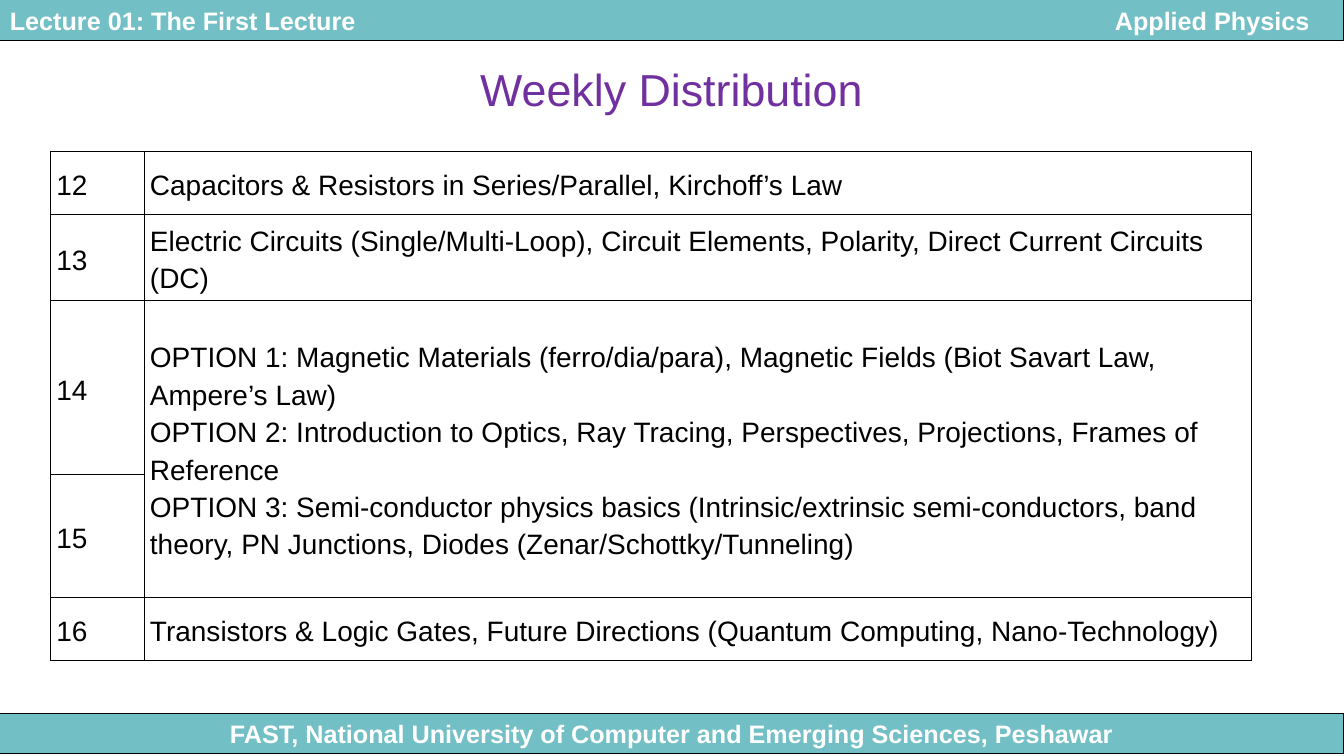
from dataclasses import dataclass

from lxml.etree import SubElement
from pptx import Presentation
from pptx.dml.color import RGBColor
from pptx.enum.shapes import MSO_SHAPE
from pptx.enum.text import MSO_ANCHOR, PP_ALIGN
from pptx.oxml import parse_xml
from pptx.oxml.ns import nsdecls, qn
from pptx.slide import Slide
from pptx.table import _Cell
from pptx.text.text import _Paragraph
from pptx.util import Cm, Pt

TEAL = RGBColor(0x72, 0xBF, 0xC5)
PURPLE = RGBColor(0x70, 0x30, 0xA0)
BLACK = RGBColor(0, 0, 0)
WHITE = RGBColor(0xFF, 0xFF, 0xFF)
FONT = "Arial"
SLIDE_WIDTH, SLIDE_HEIGHT = Cm(33.88), Cm(19.05)
BAR_WIDTH, BAR_HEIGHT = Cm(33.86), Cm(1.02)
HEADER_TAB = Cm(32.76)
BORDER = Pt(0.45)


@dataclass
class Bar:
    text: str
    top: float
    align: PP_ALIGN


@dataclass
class Week:
    number: str
    topics: str
    height: float
    joins_above: bool = False


BARS = [
    Bar("FAST, National University of Computer and Emerging Sciences, Peshawar",
        17.98, PP_ALIGN.CENTER),
    Bar("Lecture 01: The First Lecture\tApplied Physics", 0, PP_ALIGN.LEFT),
]

WEEKS = [
    Week("12", "Capacitors & Resistors in Series/Parallel, Kirchoff’s Law", 1.6),
    Week("13", "Electric Circuits (Single/Multi-Loop), Circuit Elements, Polarity, "
               "Direct Current Circuits (DC)", 2.15),
    Week("14", "OPTION 1: Magnetic Materials (ferro/dia/para), Magnetic Fields "
               "(Biot Savart Law, Ampere’s Law)\n"
               "OPTION 2: Introduction to Optics, Ray Tracing, Perspectives, "
               "Projections, Frames of Reference\n"
               "OPTION 3: Semi-conductor physics basics (Intrinsic/extrinsic "
               "semi-conductors, band theory, PN Junctions, Diodes "
               "(Zenar/Schottky/Tunneling)", 4.4),
    Week("15", "", 3.08, joins_above=True),
    Week("16", "Transistors & Logic Gates, Future Directions (Quantum Computing, "
               "Nano-Technology)", 1.6),
]


def write(p: _Paragraph, text: str, size: float, color: RGBColor,
          bold: bool = False) -> None:
    p.text = text
    for r in p.runs:
        r.font.name = FONT
        r.font.size = Pt(size)
        r.font.bold = bold
        r.font.color.rgb = color


def add_right_tab(p: _Paragraph, position: int) -> None:
    tabs = SubElement(p._p.get_or_add_pPr(), qn("a:tabLst"))
    SubElement(tabs, qn("a:tab"), pos=str(position), algn="r")


def add_bar(slide: Slide, bar: Bar) -> None:
    sp = slide.shapes.add_shape(MSO_SHAPE.RECTANGLE, 0, Cm(bar.top),
                                BAR_WIDTH, BAR_HEIGHT)
    sp.shadow.inherit = False
    sp.fill.solid()
    sp.fill.fore_color.rgb = TEAL
    sp.line.color.rgb = BLACK
    sp.line.width = Pt(0.75)
    tf = sp.text_frame
    tf.word_wrap = True
    tf.vertical_anchor = MSO_ANCHOR.MIDDLE
    p = tf.paragraphs[0]
    write(p, bar.text, 18, WHITE, bold=True)
    p.alignment = bar.align
    if "\t" in bar.text:
        add_right_tab(p, HEADER_TAB)


def add_title(slide: Slide, text: str) -> None:
    title = slide.shapes.title
    title.left, title.top = 0, Cm(1.07)
    title.width, title.height = BAR_WIDTH, Cm(2.34)
    tf = title.text_frame
    tf.vertical_anchor = MSO_ANCHOR.MIDDLE
    p = tf.paragraphs[0]
    write(p, text, 32, PURPLE)
    p.alignment = PP_ALIGN.CENTER


def add_borders(cell: _Cell) -> None:
    """Outline all four sides; the schema puts border lines before the fill."""
    tcPr = cell._tc.get_or_add_tcPr()
    for i, side in enumerate(("lnL", "lnR", "lnT", "lnB")):
        tcPr.insert(i, parse_xml(
            f'<a:{side} {nsdecls("a")} w="{BORDER}"><a:solidFill>'
            f'<a:srgbClr val="{BLACK}"/></a:solidFill></a:{side}>'))


def fill_cell(cell: _Cell, text: str) -> None:
    cell.fill.background()
    add_borders(cell)
    cell.vertical_anchor = MSO_ANCHOR.MIDDLE
    cell.margin_left = cell.margin_right = Cm(0.15)
    cell.margin_top = cell.margin_bottom = Cm(0.13)
    p = cell.text_frame.paragraphs[0]
    p.line_spacing = 1.2
    p.space_after = Pt(7)
    write(p, text, 20, BLACK)


def add_schedule(slide: Slide, weeks: list[Week]) -> None:
    widths = Cm(2.36), Cm(27.91)
    height = Cm(sum(week.height for week in weeks))
    table = slide.shapes.add_table(len(weeks), len(widths), Cm(1.27), Cm(3.81),
                                   sum(widths), height).table
    table.first_row = table.horz_banding = False
    for column, width in zip(table.columns, widths):
        column.width = width
    for i, week in enumerate(weeks):
        table.rows[i].height = Cm(week.height)
        fill_cell(table.cell(i, 0), week.number)
        fill_cell(table.cell(i, 1), week.topics)
        if week.joins_above:
            table.cell(i - 1, 1).merge(table.cell(i, 1))


def main() -> None:
    prs = Presentation()
    prs.slide_width, prs.slide_height = SLIDE_WIDTH, SLIDE_HEIGHT
    slide = prs.slides.add_slide(prs.slide_layouts.get_by_name("Title Only"))
    for bar in BARS:
        add_bar(slide, bar)
    add_title(slide, "Weekly Distribution")
    add_schedule(slide, WEEKS)
    prs.save("out.pptx")


if __name__ == "__main__":
    main()
